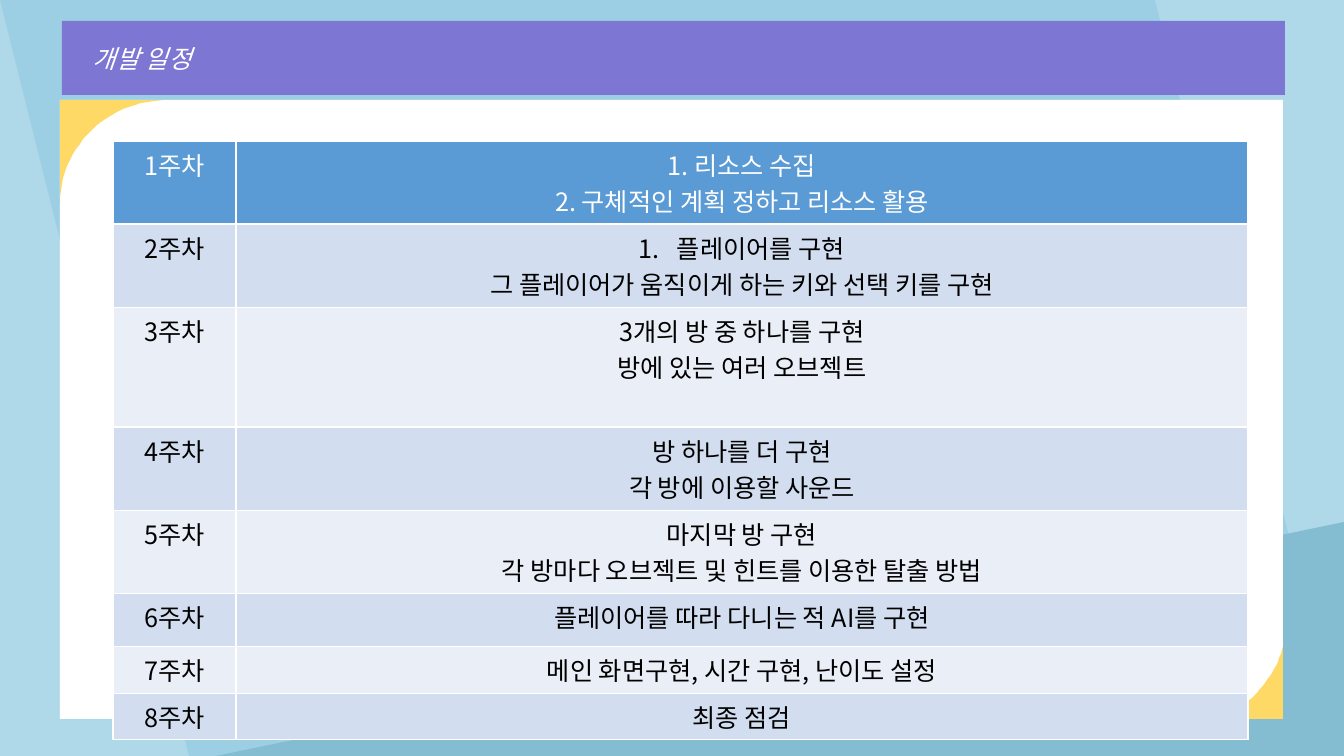
from dataclasses import dataclass

from lxml import etree
from pptx import Presentation
from pptx import util as u
from pptx.dml.color import RGBColor
from pptx.enum import shapes, text
from pptx.oxml.ns import qn

PX = 914400 / 100.8  # EMU per px


@dataclass
class Theme:
    back: str = "AFD9E9"
    slant: str = "9CCFE4"
    wedge: str = "84BDD1"
    banner: str = "7D76D3"
    corner: str = "FFD966"
    header: str = "5B9BD5"
    bands: tuple = ("EAEFF7", "D2DEEF")
    white: str = "FFFFFF"
    black: str = "000000"
    font: str = "Noto Sans CJK KR"
    size: int = 18


T = Theme()


def paint(sp, color):
    sp.shadow.inherit = False
    sp.fill.solid()
    sp.fill.fore_color.rgb = RGBColor.from_string(color)
    sp.line.fill.background()


def style(tf, color, align, italic=False):
    for p in tf.paragraphs:
        p.alignment = align
        for r in p.runs:
            r.font.size = u.Pt(T.size)
            r.font.bold = False
            r.font.italic = italic
            r.font.color.rgb = RGBColor.from_string(color)
            r.font.name = T.font
            ea = etree.SubElement(r.font._element, qn("a:ea"))
            ea.set("typeface", T.font)


prs = Presentation()
prs.slide_width, prs.slide_height = round(1344 * PX), round(756 * PX)
s = prs.slides.add_slide(prs.slide_layouts[6])
s.background.fill.solid()
s.background.fill.fore_color.rgb = RGBColor.from_string(T.back)

# Backdrop, mirrored left to right
SHAPE = shapes.MSO_SHAPE
for kind, box, color in (
    (SHAPE.PARALLELOGRAM, (0, 0, 1344, 756), T.slant),
    (SHAPE.RIGHT_TRIANGLE, (216, 522, 1128, 234), T.wedge),
):
    sp = s.shapes.add_shape(kind, *(round(v * PX) for v in box))
    sp._element.spPr.find(qn("a:xfrm")).set("flipH", "1")
    paint(sp, color)

# Title banner
box = (62, 21, 1223, 74)
sp = s.shapes.add_shape(SHAPE.RECTANGLE, *(round(v * PX) for v in box))
paint(sp, T.banner)
tf = sp.text_frame
tf.text = "개발 일정"
tf.vertical_anchor = text.MSO_ANCHOR.MIDDLE
tf.margin_left = round(31 * PX)
style(tf, T.white, text.PP_ALIGN.LEFT, italic=True)

# White card with two curved corners
card = s.shapes.add_group_shape()
box = (60, 100, 1223, 619)
sp = card.shapes.add_shape(SHAPE.RECTANGLE, *(round(v * PX) for v in box))
paint(sp, T.white)
STEPS = 24
for outline, curve in (
    ([(60, 100), (164, 100)], [(154, 101), (102, 106), (60, 150), (60, 204)]),
    ([(1283, 646), (1283, 719), (1212, 719)],
     [(1214, 719), (1247, 709), (1272, 682), (1282, 650)]),
):
    arc = []
    for i in range(STEPS + 1):
        t = i / STEPS
        weights = ((1 - t) ** 3, 3 * t * (1 - t) ** 2, 3 * t * t * (1 - t), t ** 3)
        arc.append(tuple(sum(w * pt[k] for w, pt in zip(weights, curve)) for k in (0, 1)))
    fb = card.shapes.build_freeform(*outline[0], scale=PX)
    fb.add_line_segments(outline[1:] + arc, close=True)
    paint(fb.convert_to_shape(), T.corner)

# Weekly schedule: row height, tasks
weeks = [
    (82, "1. 리소스 수집\n2. 구체적인 계획 정하고 리소스 활용"),
    (83, "플레이어를 구현\n그 플레이어가 움직이게 하는 키와 선택 키를 구현"),
    (120, "3개의 방 중 하나를 구현\n방에 있는 여러 오브젝트"),
    (83, "방 하나를 더 구현\n각 방에 이용할 사운드"),
    (83, "마지막 방 구현\n각 방마다 오브젝트 및 힌트를 이용한 탈출 방법"),
    (53, "플레이어를 따라 다니는 적 AI를 구현"),
    (47, "메인 화면구현, 시간 구현, 난이도 설정"),
    (46, "최종 점검"),
]
cols = (123, 1012)
box = (113, 141, sum(cols), sum(h for h, _ in weeks))
tbl = s.shapes.add_table(len(weeks), 2, *(round(v * PX) for v in box)).table
for col, width in zip(tbl.columns, cols):
    col.width = round(width * PX)
for i, (height, tasks) in enumerate(weeks):
    tbl.rows[i].height = round(height * PX)
    for j, words in enumerate((f"{i + 1}주차", tasks)):
        cell = tbl.cell(i, j)
        cell.text_frame.text = words
        style(cell.text_frame, T.black if i else T.white, text.PP_ALIGN.CENTER)
        # Borders come before the fill in the cell properties
        tcPr = cell._tc.get_or_add_tcPr()
        for side in ("lnL", "lnR", "lnT", "lnB"):
            ln = etree.SubElement(tcPr, qn(f"a:{side}"), w=str(u.Pt(1)))
            fill = etree.SubElement(ln, qn("a:solidFill"))
            etree.SubElement(fill, qn("a:srgbClr"), val=T.white)
        cell.fill.solid()
        cell.fill.fore_color.rgb = RGBColor.from_string(T.bands[i % 2] if i else T.header)

# Numbered first task of week 2
pPr = tbl.cell(1, 1).text_frame.paragraphs[0]._p.get_or_add_pPr()
indent = round(38 * PX)
pPr.set("marL", str(indent))
pPr.set("indent", str(-indent))
etree.SubElement(pPr, qn("a:buAutoNum"), type="arabicPeriod")

prs.save("out.pptx")
